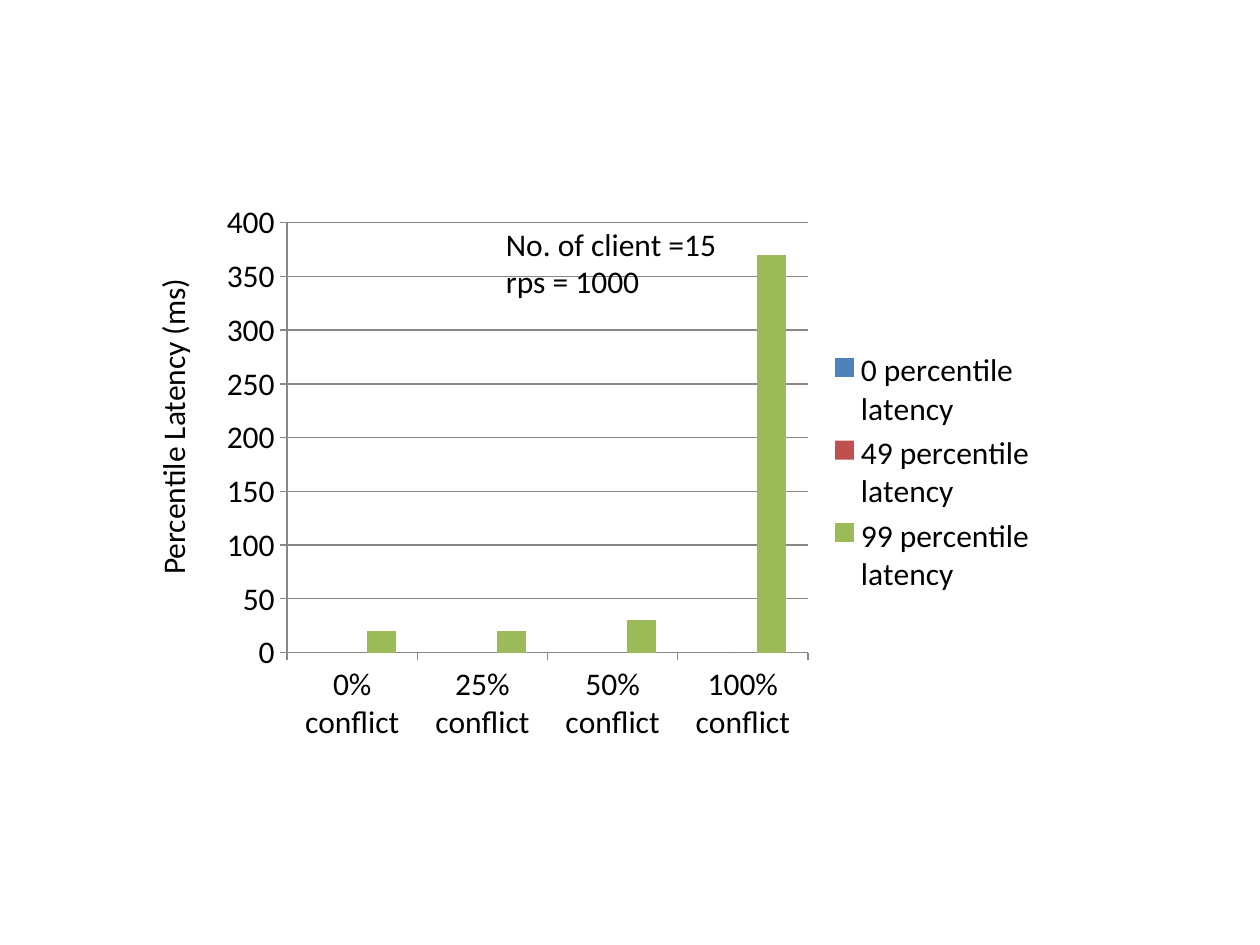
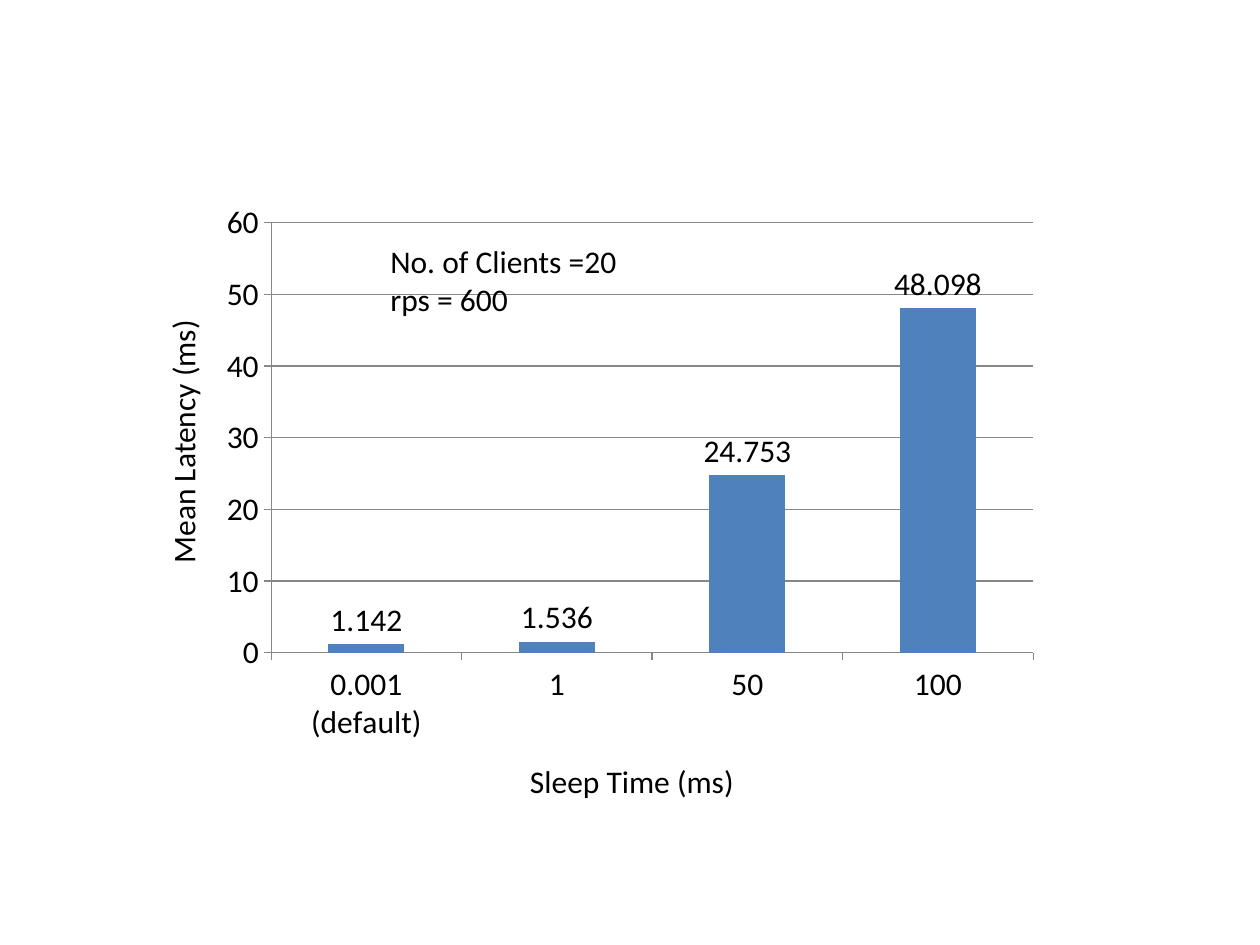
from pptx import Presentation
from pptx.chart.data import CategoryChartData
from pptx.dml.color import RGBColor
from pptx.enum.chart import XL_CHART_TYPE as ChartType
from pptx.enum.chart import XL_LABEL_POSITION as LabelPosition
from pptx.enum.chart import XL_LEGEND_POSITION as LegendPosition
from pptx.enum.chart import XL_TICK_MARK as TickMark
from pptx.enum.text import MSO_AUTO_SIZE as AutoSize
from pptx.util import Inches, Pt

BLACK = RGBColor(0x00, 0x00, 0x00)
GRAY = RGBColor(0x87, 0x87, 0x87)
BLUE = RGBColor(0x4F, 0x81, 0xBD)
RED = RGBColor(0xC0, 0x50, 0x4D)
GREEN = RGBColor(0x9B, 0xBB, 0x59)
SERIES_COLOURS = (BLUE, RED, GREEN)

SLIDE_WIDTH, SLIDE_HEIGHT = 10, 7.5
COLUMNS, ROWS = 120, 90
CHART_BOX = (20, 18.33, 80, 53.33)
ONE_LINE, TWO_LINES = 4.85, 8.48
FONT_FORMAT = {"name": "Calibri", "size": Pt(18), "bold": False}

PAGES = [
    {
        "categories": ["0% conflict", "25% conflict", "50% conflict", "100% conflict"],
        "series": {
            "0 percentile latency": (0, 0, 0, 0),
            "49 percentile latency": (0, 0, 0, 0),
            "99 percentile latency": (20, 20, 30, 370),
        },
        "highest": 400,
        "step": 50,
        "legend": True,
        "texts": [
            (["Percentile Latency (ms)"], (0.96, 38, 31, ONE_LINE), 270),
            (["No. of client =15", "rps = 1000"], (47, 20.8, 22.7, TWO_LINES), 0),
        ],
    },
    {
        "categories": ["0.001 (default)", "1", "50", "100"],
        "series": {"Series 1": (1.142, 1.536, 24.753, 48.098)},
        "highest": 60,
        "step": 10,
        "legend": False,
        "texts": [
            ([" Mean Latency (ms)"], (4.2, 39.84, 26.5, ONE_LINE), 270),
            (["No. of Clients =20", "rps = 600"], (36, 22.5, 24.2, TWO_LINES), 0),
            (["Sleep Time (ms)"], (49.3, 72, 22.1, ONE_LINE), 0),
        ],
    },
]


def place(box):
    """Turn a box in grid columns and rows into slide lengths."""
    left, top, width, height = box
    column, row = SLIDE_WIDTH / COLUMNS, SLIDE_HEIGHT / ROWS
    return map(Inches, (left * column, top * row, width * column, height * row))


def set_font(font):
    """Apply the shared text format to a font."""
    for attribute, value in FONT_FORMAT.items():
        setattr(font, attribute, value)
    font.color.rgb = BLACK


def set_line(line):
    """Give an axis or gridline the shared thin gray stroke."""
    line.color.rgb = GRAY
    line.width = Pt(0.75)


def add_text(page, lines, box, rotation):
    """Place unwrapped lines of text in a box, turned by rotation degrees."""
    shape = page.shapes.add_textbox(*place(box))
    shape.rotation = rotation
    frame = shape.text_frame
    frame.text = "\n".join(lines)
    frame.word_wrap = False
    frame.auto_size = AutoSize.SHAPE_TO_FIT_TEXT
    for para in frame.paragraphs:
        for span in para.runs:
            set_font(span.font)


def format_axes(chart, highest, step):
    """Set the scale, ticks and strokes of both axes."""
    for axis in (chart.category_axis, chart.value_axis):
        axis.major_tick_mark = TickMark.OUTSIDE
        axis.minor_tick_mark = TickMark.NONE
        set_line(axis.format.line)
    scale = {"minimum_scale": 0, "maximum_scale": highest, "major_unit": step}
    for attribute, value in scale.items():
        setattr(chart.value_axis, attribute, value)
    set_line(chart.value_axis.major_gridlines.format.line)


def add_legend(chart):
    """Put the series names to the right of the plot."""
    chart.has_legend = True
    chart.legend.position = LegendPosition.RIGHT
    chart.legend.include_in_layout = False
    set_font(chart.legend.font)


def add_value_labels(plot):
    """Write each value above its column."""
    plot.has_data_labels = True
    labels = plot.data_labels
    labels.show_value = True
    labels.position = LabelPosition.OUTSIDE_END
    set_font(labels.font)


def add_column_chart(page, content, box):
    """Draw the clustered columns of one page in a box."""
    data = CategoryChartData()
    data.categories = content["categories"]
    for name, values in content["series"].items():
        data.add_series(name, values)
    chart = page.shapes.add_chart(
        ChartType.COLUMN_CLUSTERED, *place(box), data
    ).chart
    chart.has_title = False
    chart.has_legend = False
    set_font(chart.font)
    format_axes(chart, content["highest"], content["step"])
    plot = chart.plots[0]
    plot.gap_width = 150
    plot.overlap = 0
    plot.vary_by_categories = False
    for series, colour in zip(plot.series, SERIES_COLOURS):
        series.format.fill.solid()
        series.format.fill.fore_color.rgb = colour
    if content["legend"]:
        add_legend(chart)
    else:
        add_value_labels(plot)


def add_chart_page(deck, content):
    """Add a blank slide with a chart and its captions."""
    page = deck.slides.add_slide(deck.slide_layouts[6])
    add_column_chart(page, content, CHART_BOX)
    for lines, box, rotation in content["texts"]:
        add_text(page, lines, box, rotation)


def main():
    """Build and save the deck."""
    deck = Presentation()
    deck.slide_width = Inches(SLIDE_WIDTH)
    deck.slide_height = Inches(SLIDE_HEIGHT)
    for content in PAGES:
        add_chart_page(deck, content)
    deck.save("out.pptx")


main()
